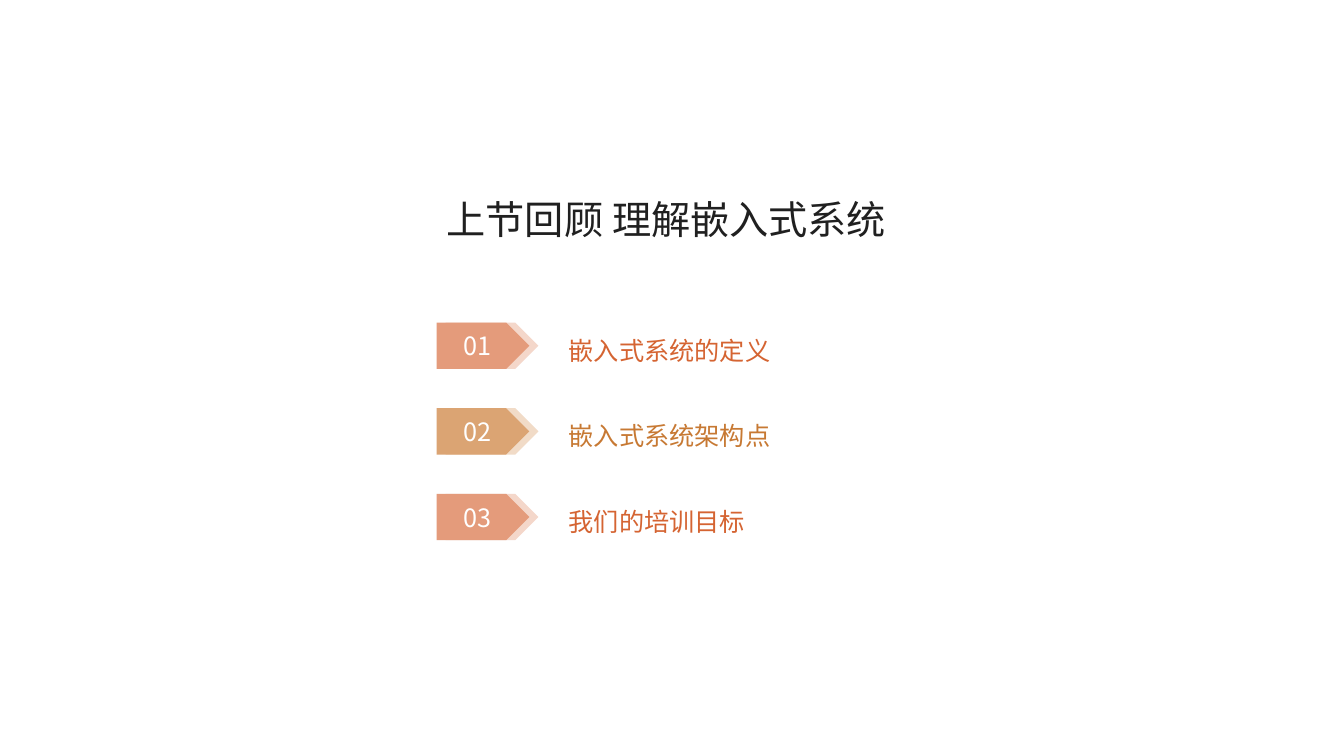
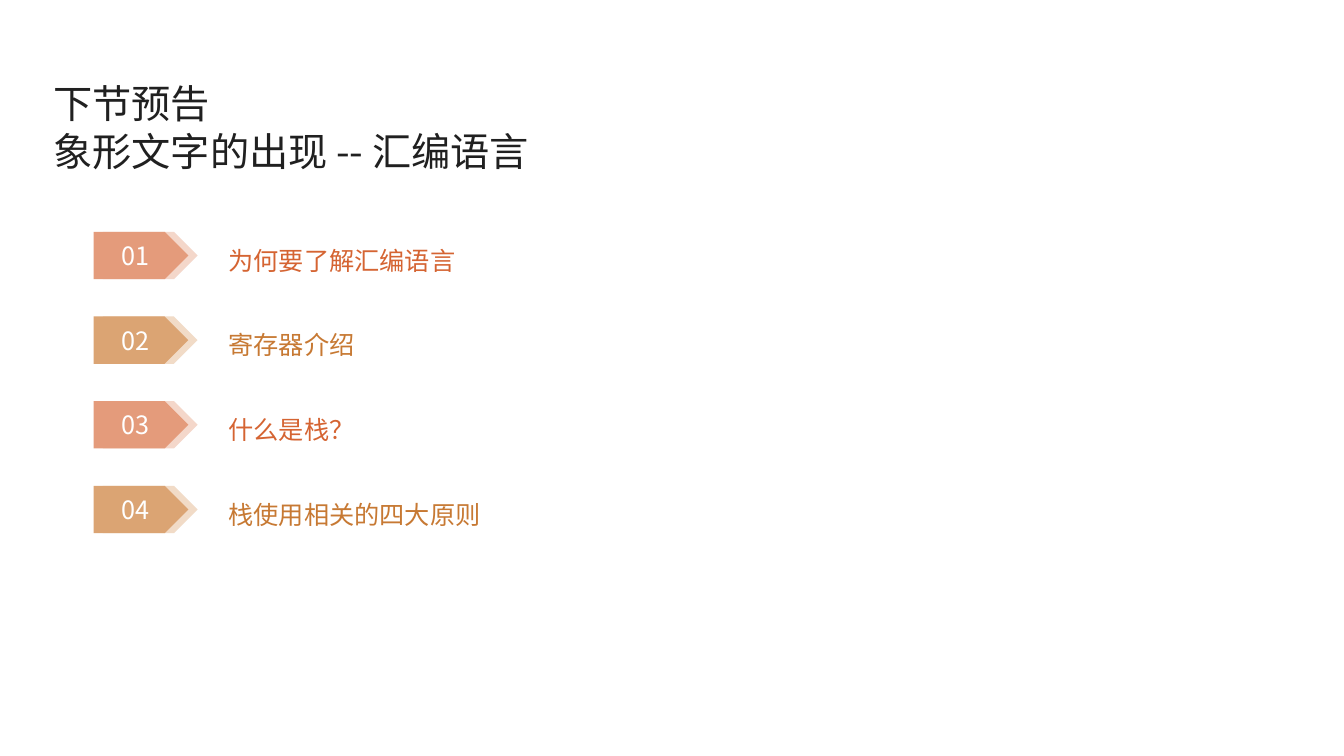
"""Build a review slide and a preview slide that share one numbered agenda style."""
from dataclasses import dataclass

from lxml.etree import SubElement
from pptx import Presentation
from pptx.dml.color import RGBColor
from pptx.enum.shapes import MSO_SHAPE
from pptx.enum.text import MSO_ANCHOR, MSO_AUTO_SIZE, PP_ALIGN
from pptx.oxml.ns import qn
from pptx.util import Inches, Pt


@dataclass(frozen=True)
class Theme:
    font: str = "Noto Sans CJK SC"
    title_size: int = 28
    item_size: int = 18
    title_color: str = "202020"
    number_color: str = "FFFFFF"
    accents: tuple = (
        {"tag": "E49B7B", "echo": "F4D7CA", "label": "D56432"},
        {"tag": "DBA473", "echo": "F1DBC7", "label": "C77933"},
    )


THEME = Theme()

SLIDES = [
    {
        "title": ["上节回顾 理解嵌入式系统"],
        "title_box": (4.33, 1.67, 5.86, 1.07),
        "items": ["嵌入式系统的定义", "嵌入式系统架构点", "我们的培训目标"],
        "origin": (4.33, 3.2),
        "step": 0.85,
        "scale": 1,
    },
    {
        "title": ["下节预告", "象形文字的出现 -- 汇编语言"],
        "title_box": (0.43, 0.52, 7.28, 1.54),
        "items": ["为何要了解汇编语言", "寄存器介绍", "什么是栈？", "栈使用相关的四大原则"],
        "origin": (0.93, 2.3),
        "step": 0.84,
        "scale": 1.02,
    },
]

TAG_WIDTH, TAG_HEIGHT = 0.92, 0.46
ECHO_SHIFT = 0.09
LABEL_SHIFT, LABEL_WIDTH, LABEL_HEIGHT = 1.31, 5.75, 0.7


def write_text(shape, lines, size, color, align=PP_ALIGN.LEFT, spacing=1.0, before=0, inset=None):
    frame = shape.text_frame
    frame.word_wrap = True
    frame.auto_size = MSO_AUTO_SIZE.NONE
    frame.vertical_anchor = MSO_ANCHOR.MIDDLE
    if inset is not None:
        frame.margin_left = frame.margin_right = Inches(inset)
        frame.margin_top = frame.margin_bottom = Inches(inset)
    for index, line in enumerate(lines):
        para = frame.paragraphs[0] if index == 0 else frame.add_paragraph()
        para.alignment = align
        para.line_spacing = spacing
        para.space_before = Pt(before)
        span = para.add_run()
        span.text = line
        span.font.size = Pt(size)
        span.font.name = THEME.font
        span.font.color.rgb = RGBColor.from_string(color)
        SubElement(span.font._element, qn("a:ea"), typeface=THEME.font)


def add_arrow(group, box, color):
    arrow = group.shapes.add_shape(MSO_SHAPE.PENTAGON, *map(Inches, box))
    arrow.shadow.inherit = False
    arrow.fill.solid()
    arrow.fill.fore_color.rgb = RGBColor.from_string(color)
    arrow.line.fill.background()
    return arrow


def add_item(page, number, text, left, top, scale):
    accent = THEME.accents[(number - 1) % len(THEME.accents)]
    width, height = TAG_WIDTH * scale, TAG_HEIGHT * scale
    label_height = LABEL_HEIGHT * scale
    label_top = top + (height - label_height) / 2
    group = page.shapes.add_group_shape()
    add_arrow(group, (left + ECHO_SHIFT * scale, top, width, height), accent["echo"])
    tag = add_arrow(group, (left, top, width, height), accent["tag"])
    write_text(tag, [f"{number:02d}"], THEME.item_size, THEME.number_color, align=PP_ALIGN.CENTER)
    label_box = (left + LABEL_SHIFT * scale, label_top, LABEL_WIDTH * scale, label_height)
    label = group.shapes.add_textbox(*map(Inches, label_box))
    write_text(label, [text], THEME.item_size, accent["label"], spacing=1.3, inset=0)


def add_page(deck, content):
    page = deck.slides.add_slide(deck.slide_layouts[5])
    title = page.shapes.title
    title.left, title.top, title.width, title.height = map(Inches, content["title_box"])
    write_text(title, content["title"], THEME.title_size, THEME.title_color, spacing=0.9, before=4)
    left, top = content["origin"]
    for index, text in enumerate(content["items"]):
        add_item(page, index + 1, text, left, top + index * content["step"], content["scale"])


def main():
    deck = Presentation()
    deck.slide_width, deck.slide_height = Inches(13.33), Inches(7.5)
    for content in SLIDES:
        add_page(deck, content)
    deck.save("out.pptx")


if __name__ == "__main__":
    main()
